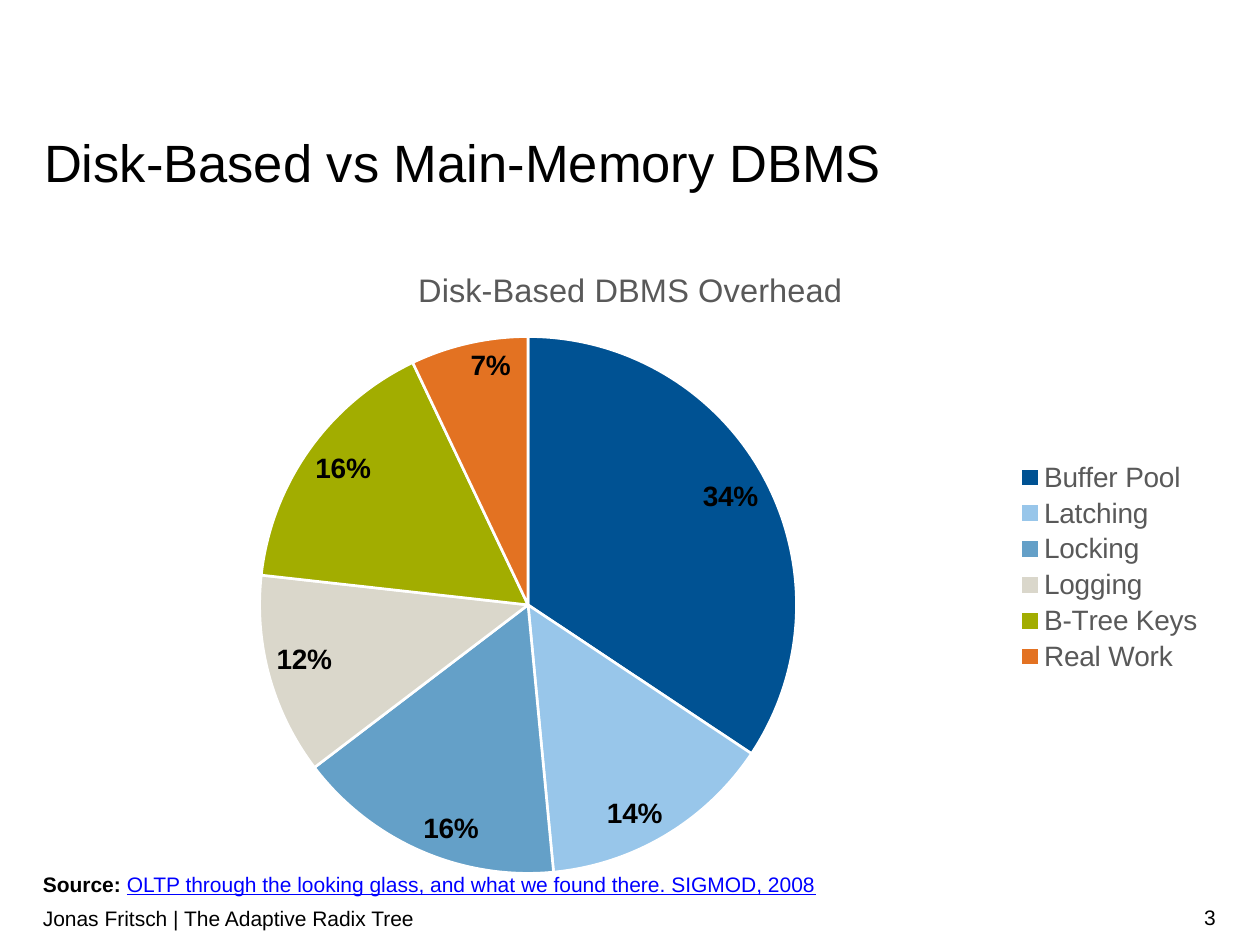
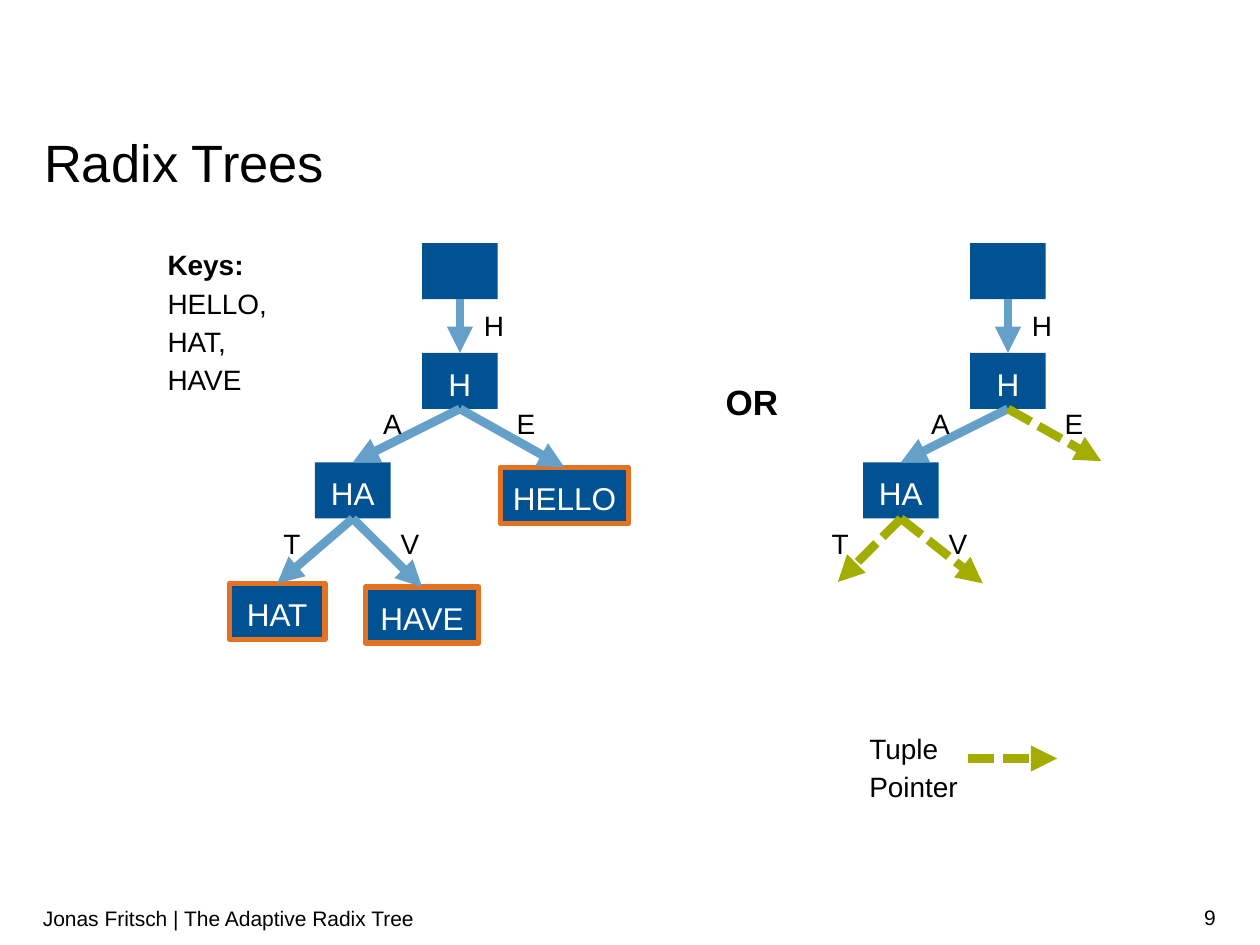
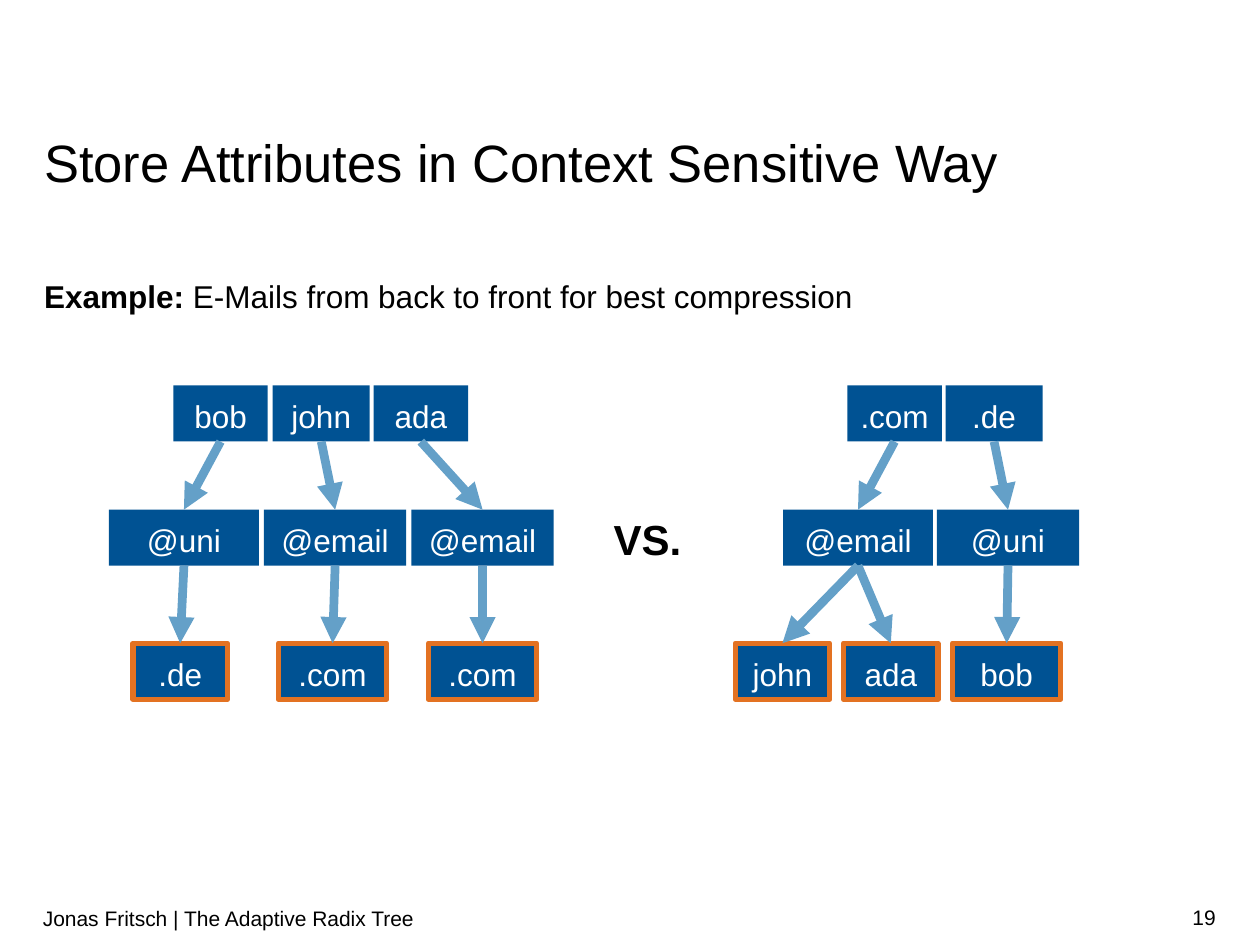
from dataclasses import dataclass, replace
from typing import NamedTuple

from lxml import etree
from pptx import Presentation
from pptx.chart.data import CategoryChartData
from pptx.dml.color import RGBColor
from pptx.enum.chart import XL_CHART_TYPE, XL_LABEL_POSITION, XL_LEGEND_POSITION
from pptx.enum.dml import MSO_LINE
from pptx.enum.shapes import MSO_CONNECTOR, MSO_SHAPE
from pptx.enum.text import MSO_ANCHOR, MSO_AUTO_SIZE, PP_ALIGN
from pptx.oxml.ns import qn
from pptx.util import Inches, Pt

LEFT, CENTER, RIGHT = PP_ALIGN.LEFT, PP_ALIGN.CENTER, PP_ALIGN.RIGHT
TOP, MIDDLE = MSO_ANCHOR.TOP, MSO_ANCHOR.MIDDLE
STRAIGHT, RECTANGLE = MSO_CONNECTOR.STRAIGHT, MSO_SHAPE.RECTANGLE
DOTTED = MSO_LINE.SQUARE_DOT
BOTTOM_SITE, TOP_SITE = 2, 0

FONT = "Arial"
BLACK, WHITE, GRAY, LINK = "000000", "FFFFFF", "595959", "0000FF"
NAVY, SKY, STEEL, SAND, GREEN, ORANGE = (
    "005293", "98C6EA", "64A0C8", "DAD7CB", "A2AD00", "E37222")
BODY_SPACING = 1.14

# The grid has 100 columns and 75 rows of equal size.
SLIDE_WIDTH, SLIDE_HEIGHT = Inches(10), Inches(7.5)
UNIT = SLIDE_WIDTH // 100
NODE_HEIGHT = 4.45
FOOTER = "Jonas Fritsch | The Adaptive Radix Tree"


class Area(NamedTuple):
    """A rectangle in grid units."""
    left: float
    top: float
    width: float
    height: float


class Span(NamedTuple):
    text: str
    bold: bool = False
    color: str = BLACK
    underline: bool = False


@dataclass(frozen=True)
class Node:
    """A tree node, placed by the middle of its top edge."""
    text: str
    center: float
    top: float
    width: float
    leaf: bool = False


TITLE_AREA = Area(3.5, 10.9, 93.1, 4.5)
FOOTER_AREA = Area(3.4, 70.8, 85.6, 4.2)
NUMBER_AREA = Area(74.1, 70.8, 22.4, 4)


def grid(*units: float) -> list[int]:
    return [round(unit * UNIT) for unit in units]


def rgb(color: str) -> RGBColor:
    return RGBColor.from_string(color)


def style_font(font, size: float, color: str = BLACK, bold: bool = False) -> None:
    font.name, font.size, font.bold = FONT, Pt(size), bold
    font.color.rgb = rgb(color)


def write_text(frame, paragraphs: list[list[Span]], size: float, align=LEFT,
               anchor=TOP, spacing=BODY_SPACING) -> None:
    frame.auto_size = MSO_AUTO_SIZE.NONE
    frame.word_wrap = True
    frame.vertical_anchor = anchor
    frame.margin_left = frame.margin_right = 0
    frame.margin_top = frame.margin_bottom = 0
    for index, spans in enumerate(paragraphs):
        para = frame.add_paragraph() if index else frame.paragraphs[0]
        para.alignment, para.line_spacing = align, spacing
        for span in spans:
            run = para.add_run()
            run.text = span.text
            style_font(run.font, size, span.color, span.bold)
            if span.underline:
                run.font.underline = True


def add_text(page, area: Area, *paragraphs: list[Span], size: float, **text_format) -> None:
    box = page.shapes.add_textbox(*grid(*area))
    write_text(box.text_frame, list(paragraphs), size, **text_format)


def add_page(deck, title: str, number: int):
    """Add a slide with the shared title, footer and slide number."""
    page = deck.slides.add_slide(deck.slide_layouts[5])
    heading = page.shapes.title
    heading.left, heading.top, heading.width, heading.height = grid(*TITLE_AREA)
    write_text(heading.text_frame, [[Span(title)]], 30, spacing=Pt(32))
    add_text(page, NUMBER_AREA, [Span(str(number))], size=12, align=RIGHT,
             anchor=MIDDLE, spacing=1.0)
    add_text(page, FOOTER_AREA, [Span(FOOTER)], size=12, anchor=MIDDLE, spacing=1.0)
    return page


def add_arrow(page, start: tuple = (0, 0), end: tuple = (0, 0), color: str = STEEL,
              dotted: bool = False):
    arrow = page.shapes.add_connector(STRAIGHT, *grid(*start, *end))
    arrow.line.color.rgb = rgb(color)
    arrow.line.width = Pt(5)
    if dotted:
        arrow.line.dash_style = DOTTED
    line = arrow.line._get_or_add_ln()
    etree.SubElement(line, qn("a:tailEnd"), type="triangle")
    etree.SubElement(arrow._element.spPr, qn("a:effectLst"))
    return arrow


def add_tuple_pointer(page, start: tuple, end: tuple) -> None:
    add_arrow(page, start, end, color=GREEN, dotted=True)


def add_node(page, node: Node):
    area = Area(node.center - node.width / 2, node.top, node.width, NODE_HEIGHT)
    box = page.shapes.add_shape(RECTANGLE, *grid(*area))
    box.shadow.inherit = False
    box.fill.solid()
    box.fill.fore_color.rgb = rgb(NAVY)
    if node.leaf:
        box.line.color.rgb = rgb(ORANGE)
        box.line.width = Pt(3)
    else:
        box.line.fill.background()
    if node.text:
        write_text(box.text_frame, [[Span(node.text, color=WHITE)]], 18,
                   align=CENTER, anchor=MIDDLE)
    return box


def add_tree(page, nodes: list[Node], edges: list[tuple[int, int]]) -> None:
    """Draw nodes and arrows; an edge is a pair of node indexes."""
    boxes = [add_node(page, node) for node in nodes]
    for parent, child in edges:
        arrow = add_arrow(page)
        arrow.begin_connect(boxes[parent], BOTTOM_SITE)
        arrow.end_connect(boxes[child], TOP_SITE)


def add_overhead_chart(page, area: Area) -> None:
    name = "Disk-Based DBMS Overhead"
    shares = [("Buffer Pool", 34, NAVY), ("Latching", 14, SKY), ("Locking", 16, STEEL),
              ("Logging", 12, SAND), ("B-Tree Keys", 16, GREEN), ("Real Work", 7, ORANGE)]
    data = CategoryChartData()
    data.categories = [label for label, _, _ in shares]
    data.add_series(name, [value for _, value, _ in shares])
    chart = page.shapes.add_chart(XL_CHART_TYPE.PIE, *grid(*area), data).chart
    style_font(chart.font, 10)

    chart.has_title = True
    heading = chart.chart_title.text_frame
    heading.text = name
    style_font(heading.paragraphs[0].runs[0].font, 18.6, GRAY)

    chart.has_legend = True
    chart.legend.position = XL_LEGEND_POSITION.RIGHT
    chart.legend.include_in_layout = False
    style_font(chart.legend.font, 16, GRAY)

    plot = chart.plots[0]
    plot.vary_by_categories = True
    for index, (_, _, color) in enumerate(shares):
        slice_format = plot.series[0].points[index].format
        slice_format.fill.solid()
        slice_format.fill.fore_color.rgb = rgb(color)
        slice_format.line.color.rgb = rgb(WHITE)
        slice_format.line.width = Pt(1.5)

    plot.has_data_labels = True
    labels = plot.data_labels
    labels.show_percentage, labels.show_value = True, False
    labels.number_format, labels.number_format_is_linked = "0%", False
    labels.position = XL_LABEL_POSITION.INSIDE_END
    style_font(labels.font, 16, bold=True)


def build_overhead_page(deck) -> None:
    page = add_page(deck, "Disk-Based vs Main-Memory DBMS", 3)
    add_overhead_chart(page, Area(3.5, 19.3, 93.1, 51.4))
    paper = "OLTP through the looking glass, and what we found there. SIGMOD, 2008"
    add_text(page, Area(3.4, 68.9, 94.4, 2.1),
             [Span("Source: ", bold=True), Span(paper, color=LINK, underline=True)], size=12)


def build_radix_page(deck) -> None:
    page = add_page(deck, "Radix Trees", 9)
    add_text(page, Area(13.3, 19.3, 10.9, 51.4), [Span("Keys:", bold=True)],
             *([Span(key)] for key in ("HELLO,", "HAT,", "HAVE")), size=16)
    add_text(page, Area(57.6, 29.7, 4.3, 3.5), [Span("OR", bold=True)], size=20)
    add_text(page, Area(69, 57.7, 10, 5.9), [Span("Tuple Pointer")], size=16)
    add_tuple_pointer(page, (76.8, 60.2), (83.9, 60.2))

    inner = [Node("", 36.5, 19.3, 6), Node("H", 36.5, 28, 6), Node("HA", 28, 36.7, 6)]
    leaves = [Node("HAT", 22, 46.3, 7.6, True), Node("HAVE", 33.5, 46.6, 9, True),
              Node("HELLO", 44.8, 37.1, 10.2, True)]
    inner_edges = [(0, 1), (1, 2)]
    edge_labels = [("H", 38.4, 24.1), ("A", 30.4, 31.9), ("E", 41, 31.9),
                   ("T", 22.5, 41.4), ("V", 31.8, 41.4)]
    shift = 43.5
    shifted = [replace(node, center=node.center + shift) for node in inner]
    add_tree(page, inner + leaves, inner_edges + [(2, 3), (2, 4), (1, 5)])
    add_tree(page, shifted, inner_edges)
    for offset in (0, shift):
        for letter, left, top in edge_labels:
            add_text(page, Area(left + offset, top, 2.3, 2.8), [Span(letter)], size=16)

    _, h_node, ha_node = shifted
    for node, tip in ((h_node, (87.4, 36.6)), (ha_node, (78, 46.3)), (ha_node, (66.5, 46.2))):
        add_tuple_pointer(page, (node.center, node.top + NODE_HEIGHT), tip)


def build_context_page(deck) -> None:
    page = add_page(deck, "Store Attributes in Context Sensitive Way", 19)
    add_text(page, Area(3.5, 21.6, 93.1, 49),
             [Span("Example: ", bold=True),
              Span("E-Mails from back to front for best compression")], size=18)
    add_text(page, Area(48.7, 40.2, 7.1, 4.2), [Span("VS.", bold=True)], size=24)

    first, second, third = 30.6, 40.45, 51.05
    front_to_back = [
        Node("bob", 17.5, first, 7.5), Node("john", 25.5, first, 7.7),
        Node("ada", 33.4, first, 7.5),
        Node("@uni", 14.6, second, 11.9), Node("@email", 26.6, second, 11.3),
        Node("@email", 38.3, second, 11.3),
        Node(".de", 14.3, third, 7.5, True), Node(".com", 26.4, third, 8.6, True),
        Node(".com", 38.3, third, 8.6, True)]
    back_to_front = [
        Node(".com", 71, first, 7.5), Node(".de", 78.9, first, 7.7),
        Node("@email", 68.1, second, 11.9), Node("@uni", 80, second, 11.3),
        Node("john", 62.1, third, 7.5, True), Node("ada", 70.7, third, 7.5, True),
        Node("bob", 79.9, third, 8.6, True)]
    add_tree(page, front_to_back, [(index, index + 3) for index in range(6)])
    add_tree(page, back_to_front, [(0, 2), (1, 3), (2, 4), (2, 5), (3, 6)])


def main() -> None:
    deck = Presentation()
    deck.slide_width, deck.slide_height = SLIDE_WIDTH, SLIDE_HEIGHT
    build_overhead_page(deck)
    build_radix_page(deck)
    build_context_page(deck)
    deck.save("out.pptx")


if __name__ == "__main__":
    main()
